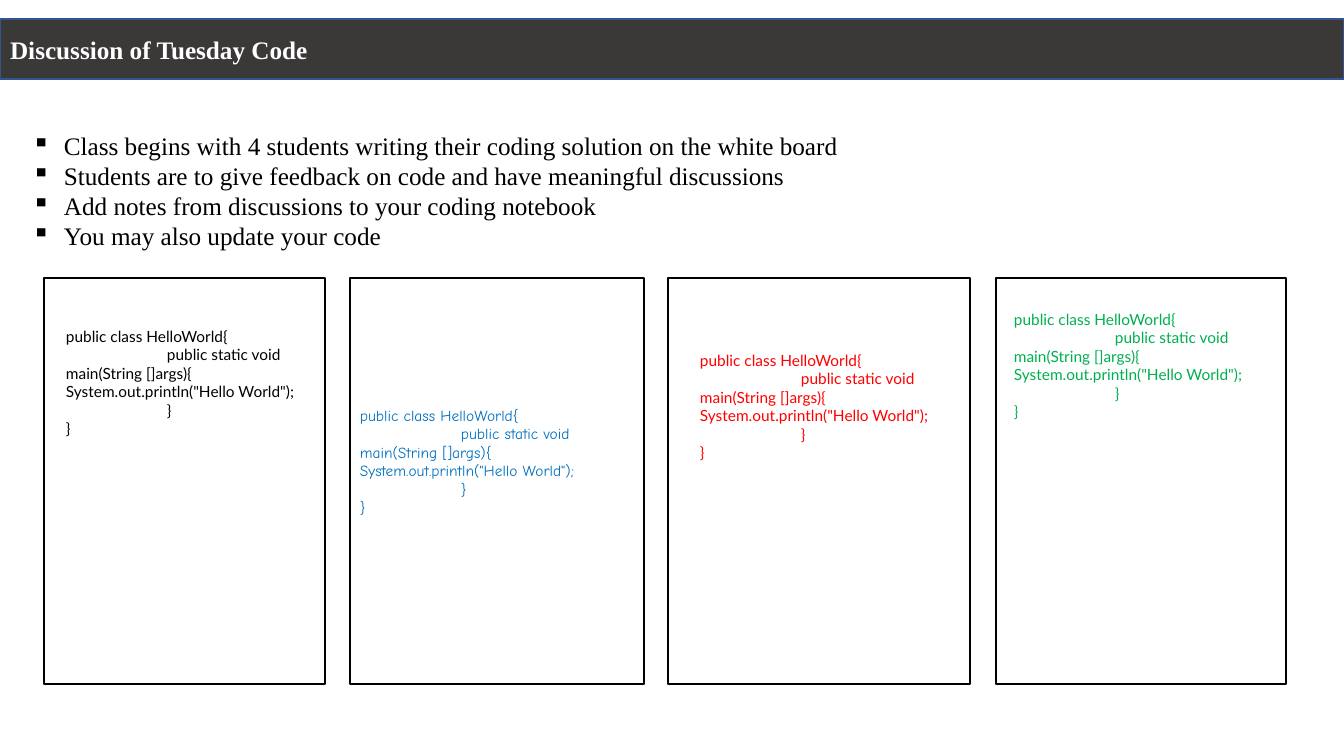
"""Build the class slide that discusses Tuesday's code."""
import pptx
import pptx.dml.color
import pptx.enum.shapes
import pptx.enum.text
import pptx.oxml.ns
import pptx.util
from lxml import etree

THEME = {
    "bar": "3B3838", "bar_line": "325491", "white": "FFFFFF", "black": "000000",
    "blue": "0070C0", "red": "FF0000", "green": "00B050",
    "serif": "Times New Roman", "sans": "Lato", "hand": "Comic Neue",
    "heading_size": 18, "code_size": 11, "line": 1, "thin_line": 0.5,
}
EMU_PER_PX = 12192000 / 1344


def px(length):
    """Turn pixels into EMU."""
    return pptx.util.Emu(round(length * EMU_PER_PX))


def style(font, name, size, color):
    """Set the typeface, size and colour of a font."""
    font.name = THEME[name]
    font.size = pptx.util.Pt(THEME[size])
    font.color.rgb = pptx.dml.color.RGBColor.from_string(THEME[color])


presentation = pptx.Presentation()
presentation.slide_width, presentation.slide_height = px(1344), px(756)
slide = presentation.slides.add_slide(presentation.slide_layouts[5])

title = slide.shapes.title
title.left, title.top, title.width, title.height = px(0), px(19), px(1344), px(60)
title.fill.solid()
title.fill.fore_color.rgb = pptx.dml.color.RGBColor.from_string(THEME["bar"])
title.line.color.rgb = pptx.dml.color.RGBColor.from_string(THEME["bar_line"])
title.line.width = pptx.util.Pt(THEME["line"])
title.text_frame.text = "Discussion of Tuesday Code"
title.text_frame.auto_size = pptx.enum.text.MSO_AUTO_SIZE.NONE
title.text_frame.vertical_anchor = pptx.enum.text.MSO_ANCHOR.MIDDLE
heading = title.text_frame.paragraphs[0]
heading.alignment = pptx.enum.text.PP_ALIGN.LEFT
heading.font.bold = True
style(heading.font, "serif", "heading_size", "white")

instructions = slide.shapes.add_textbox(px(22), px(125), px(845), px(132))
instructions.text_frame.text = "\n".join([
    "Class begins with 4 students writing their coding solution on the white board",
    "Students are to give feedback on code and have meaningful discussions",
    "Add notes from discussions to your coding notebook",
    "You may also update your code",
])
for paragraph in instructions.text_frame.paragraphs:
    properties = paragraph._p.get_or_add_pPr()
    properties.set("marL", str(px(32)))
    properties.set("indent", str(px(-32)))
    bullet = etree.SubElement(properties, pptx.oxml.ns.qn("a:buChar"))
    bullet.set("char", "▪")
    style(paragraph.font, "serif", "heading_size", "black")

CODE = [
    ("public class HelloWorld{", 0),
    ("public static void main(String []args){", 101),
    ('System.out.println("Hello World");', 0),
    ("}", 101),
    ("}", 0),
]
BOARD_TOP, BOARD_HEIGHT, EDGE_LENGTH = 278, 406, 141
BOARDS = [
    (44, 281, 56, 322, 135, "sans", "black"),
    (350, 294, 350, 401, 420, "hand", "blue"),
    (668, 302, 690, 346, 757, "sans", "red"),
    (996, 290, 1004, 305, 1081, "sans", "green"),
]

for left, width, code_left, code_top, edge_left, font_name, color in BOARDS:
    board = slide.shapes.add_shape(
        pptx.enum.shapes.MSO_SHAPE.RECTANGLE,
        px(left), px(BOARD_TOP), px(width), px(BOARD_HEIGHT))
    board.shadow.inherit = False
    board.fill.background()
    board.line.color.rgb = pptx.dml.color.RGBColor.from_string(THEME["black"])
    board.line.width = pptx.util.Pt(THEME["line"])

    code_box = slide.shapes.add_textbox(px(code_left), px(code_top), px(273), px(159))
    code_box.text_frame.word_wrap = True
    code_box.text_frame.text = "\n".join(text for text, indent in CODE)
    for paragraph, (text, indent) in zip(code_box.text_frame.paragraphs, CODE):
        paragraph._p.get_or_add_pPr().set("indent", str(px(indent)))
        style(paragraph.font, font_name, "code_size", color)

    bottom = px(BOARD_TOP + BOARD_HEIGHT)
    edge = slide.shapes.add_connector(
        pptx.enum.shapes.MSO_CONNECTOR.STRAIGHT,
        px(edge_left), bottom, px(edge_left + EDGE_LENGTH), bottom)
    edge.line.color.rgb = pptx.dml.color.RGBColor.from_string(THEME["black"])
    edge.line.width = pptx.util.Pt(THEME["thin_line"])
    etree.SubElement(edge._element.spPr, pptx.oxml.ns.qn("a:effectLst"))

presentation.save("out.pptx")
